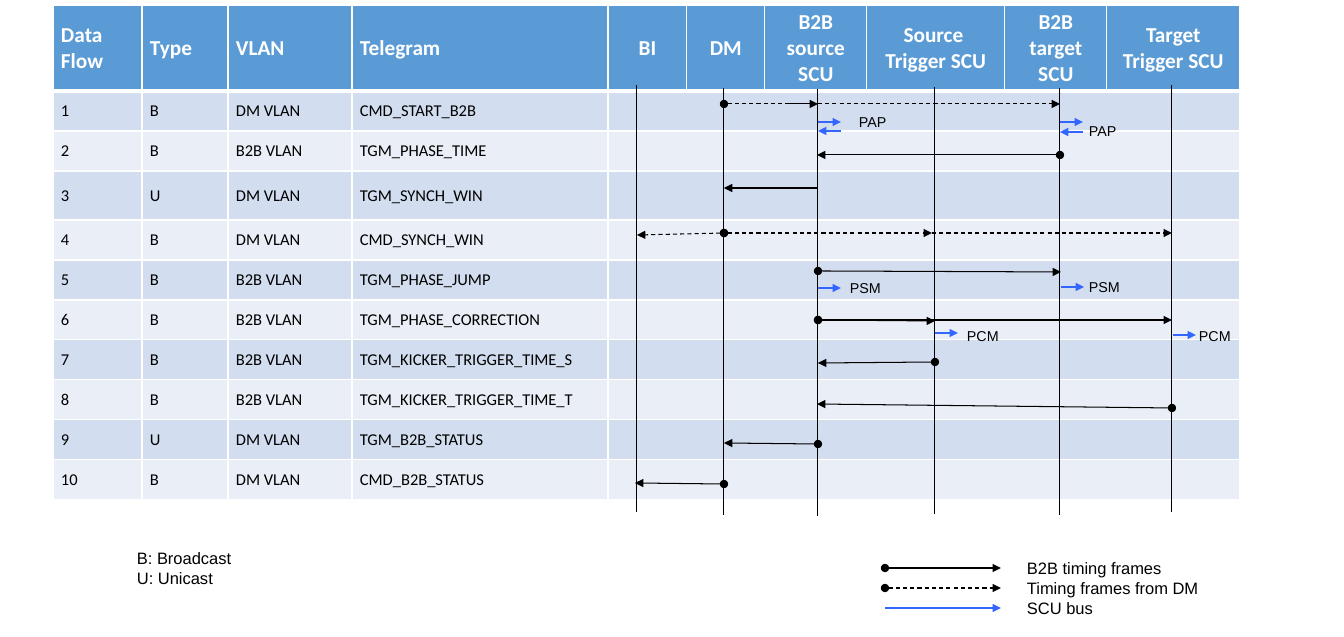
import dataclasses

import lxml.etree
import pptx
import pptx.dml.color
import pptx.enum.dml
import pptx.enum.shapes
import pptx.enum.text
import pptx.oxml
import pptx.oxml.ns
import pptx.util

EMU_PER_PX = 914400 / 100.8
BLACK, WHITE, BUS_BLUE = "000000", "FFFFFF", "3366FF"
HEADER_BLUE, BANDS = "5B9BD5", ("D2DEEF", "EAEFF7")
LEFT = pptx.enum.text.PP_ALIGN.LEFT
CENTER = pptx.enum.text.PP_ALIGN.CENTER

BI, DM, SOURCE, SOURCE_TRIGGER, TARGET, TARGET_TRIGGER = 637, 724, 818, 935, 1060, 1172
LIFELINE_TOPS = {BI: 85, DM: 88, SOURCE: 89, SOURCE_TRIGGER: 87, TARGET: 88, TARGET_TRIGGER: 85}
LIFELINE_LENGTH = 427
BUS_LENGTH = 23


@dataclasses.dataclass(frozen=True)
class Flow:
    kind: str
    vlan: str
    telegram: str
    height: int = 40


@dataclasses.dataclass(frozen=True)
class Arrow:
    x1: int
    y1: int
    x2: int
    y2: int
    dashed: bool = False
    dot: bool = True
    head: bool = True
    color: str = BLACK
    weight: float = 0.75


@dataclasses.dataclass(frozen=True)
class Label:
    text: str
    x: int
    y: int
    width: int = 52
    height: int = 26
    size: float = 10.2
    margins: tuple[int, int] = (8, 4)


HEADERS = ["Data\nFlow", "Type", "VLAN", "Telegram", "BI", "DM", "B2B source SCU",
           "Source \nTrigger SCU", "B2B target SCU", "Target Trigger SCU"]
COLUMN_WIDTHS = [89, 86, 124, 256, 79, 78, 102, 138, 102, 133]
HEADER_HEIGHT = 86
FIRST_LANE = 4

FLOWS = [
    Flow("B", "DM VLAN", "CMD_START_B2B"),
    Flow("B", "B2B VLAN", "TGM_PHASE_TIME"),
    Flow("U", "DM VLAN", "TGM_SYNCH_WIN", height=49),
    Flow("B", "DM VLAN", "CMD_SYNCH_WIN"),
    Flow("B", "B2B VLAN", "TGM_PHASE_JUMP"),
    Flow("B", "B2B VLAN", "TGM_PHASE_CORRECTION"),
    Flow("B", "B2B VLAN", "TGM_KICKER_TRIGGER_TIME_S"),
    Flow("B", "B2B VLAN", "TGM_KICKER_TRIGGER_TIME_T"),
    Flow("U", "DM VLAN", "TGM_B2B_STATUS"),
    Flow("B", "DM VLAN", "CMD_B2B_STATUS"),
]


def bus(x: int, y: int, length: int = BUS_LENGTH) -> Arrow:
    return Arrow(x, y, x + length, y, dot=False, color=BUS_BLUE, weight=1.75)


def bus_reply(x: int, y: int) -> Arrow:
    return bus(x + BUS_LENGTH, y, -BUS_LENGTH)


ARROWS = [
    Arrow(789, 104, TARGET, 104, dashed=True, dot=False),
    Arrow(DM, 104, SOURCE, 104, dashed=True),
    bus(SOURCE, 122), bus_reply(SOURCE, 131),
    bus(TARGET, 122), bus_reply(TARGET, 132),
    Arrow(TARGET, 155, SOURCE - 1, 155),
    Arrow(SOURCE, 188, DM, 188, dot=False),
    Arrow(DM, 233, 932, 233, dashed=True),
    Arrow(932, 233, TARGET_TRIGGER, 233, dashed=True, dot=False),
    Arrow(DM, 233, BI, 235, dashed=True),
    Arrow(SOURCE, 271, TARGET + 1, 272),
    bus(SOURCE, 288), bus(TARGET + 1, 287),
    Arrow(SOURCE, 320, SOURCE_TRIGGER, 321),
    Arrow(SOURCE, 320, TARGET_TRIGGER, 320),
    bus(SOURCE_TRIGGER, 333), bus(TARGET_TRIGGER + 1, 335),
    Arrow(SOURCE_TRIGGER, 362, SOURCE, 363),
    Arrow(TARGET_TRIGGER, 408, SOURCE - 1, 404),
    Arrow(SOURCE, 444, DM, 443),
    Arrow(DM, 484, BI - 2, 483),
    Arrow(885, 568, 1001, 568),
    Arrow(885, 588, 1001, 588, dashed=True),
    bus(885, 608, 116),
]

LABELS = [
    Label("PAP", 851, 109), Label("PAP", 1081, 118),
    Label("PSM", 842, 275), Label("PSM", 1081, 274),
    Label("PCM", 959, 323), Label("PCM", 1191, 323),
    Label("B2B timing frames\nTiming frames from DM\nSCU bus", 1017, 553, 267, 70, 11.8, (10, 5)),
    Label("B: Broadcast\nU: Unicast", 127, 543, 267, 50, 11.8, (10, 5)),
]


def px(length: int) -> int:
    return pptx.util.Emu(round(length * EMU_PER_PX))


def rgb(color: str) -> pptx.dml.color.RGBColor:
    return pptx.dml.color.RGBColor.from_string(color)


def write(frame, text: str, *, size: float, font: str = "Arial", color: str = BLACK,
          bold: bool = False, align=LEFT) -> None:
    frame.text = text
    for paragraph in frame.paragraphs:
        paragraph.alignment = align
        for run in paragraph.runs:
            run.font.name = font
            run.font.size = pptx.util.Pt(size)
            run.font.bold = bold
            run.font.color.rgb = rgb(color)


def format_cell(cell, fill: str, bottom: float) -> None:
    cell.margin_left = cell.margin_right = px(8)
    cell.margin_top = cell.margin_bottom = px(4)
    cell.vertical_anchor = pptx.enum.text.MSO_ANCHOR.MIDDLE
    cell.fill.solid()
    cell.fill.fore_color.rgb = rgb(fill)
    properties = cell._tc.get_or_add_tcPr()
    weights = {"L": 1, "R": 1, "T": 1, "B": bottom}
    for position, (side, weight) in enumerate(weights.items()):
        border = pptx.oxml.parse_xml(
            f'<a:ln{side} {pptx.oxml.ns.nsdecls("a")} w="{pptx.util.Pt(weight)}">'
            f'<a:solidFill><a:srgbClr val="{WHITE}"/></a:solidFill></a:ln{side}>')
        properties.insert(position, border)


def draw_flow_table(shapes) -> None:
    heights = [HEADER_HEIGHT] + [flow.height for flow in FLOWS]
    table = shapes.add_table(len(heights), len(COLUMN_WIDTHS), px(53), px(5),
                             px(sum(COLUMN_WIDTHS)), px(sum(heights))).table
    for column, width in zip(table.columns, COLUMN_WIDTHS):
        column.width = px(width)
    for row, height in zip(table.rows, heights):
        row.height = px(height)
    for index, header in enumerate(HEADERS):
        cell = table.cell(0, index)
        format_cell(cell, HEADER_BLUE, bottom=3)
        write(cell.text_frame, header, size=15.2, font="Calibri", color=WHITE, bold=True,
              align=CENTER if index >= FIRST_LANE else LEFT)
    for number, flow in enumerate(FLOWS, start=1):
        for cell in table.rows[number].cells:
            format_cell(cell, BANDS[(number - 1) % 2], bottom=1)
        for index, text in enumerate([str(number), flow.kind, flow.vlan, flow.telegram]):
            write(table.cell(number, index).text_frame, text, size=11.8, font="Calibri")
        table.cell(number, FIRST_LANE).merge(table.cell(number, len(HEADERS) - 1))


def draw_arrow(shapes, arrow: Arrow) -> None:
    connector = shapes.add_connector(pptx.enum.shapes.MSO_CONNECTOR.STRAIGHT,
                                     px(arrow.x1), px(arrow.y1), px(arrow.x2), px(arrow.y2))
    connector.line.color.rgb = rgb(arrow.color)
    connector.line.width = pptx.util.Pt(arrow.weight)
    if arrow.dashed:
        connector.line.dash_style = pptx.enum.dml.MSO_LINE.DASH
    outline = connector.line._get_or_add_ln()
    if arrow.dot:
        lxml.etree.SubElement(outline, pptx.oxml.ns.qn("a:headEnd"), type="oval")
    if arrow.head:
        lxml.etree.SubElement(outline, pptx.oxml.ns.qn("a:tailEnd"), type="triangle")
    lxml.etree.SubElement(connector._element.spPr, pptx.oxml.ns.qn("a:effectLst"))


def draw_label(shapes, label: Label) -> None:
    frame = shapes.add_textbox(px(label.x), px(label.y), px(label.width), px(label.height)).text_frame
    frame.word_wrap = True
    frame.auto_size = pptx.enum.text.MSO_AUTO_SIZE.SHAPE_TO_FIT_TEXT
    frame.margin_left = frame.margin_right = px(label.margins[0])
    frame.margin_top = frame.margin_bottom = px(label.margins[1])
    write(frame, label.text, size=label.size)


def main() -> None:
    presentation = pptx.Presentation()
    presentation.slide_width, presentation.slide_height = px(1344), px(637)
    shapes = presentation.slides.add_slide(presentation.slide_layouts[6]).shapes
    draw_flow_table(shapes)
    for x, top in LIFELINE_TOPS.items():
        draw_arrow(shapes, Arrow(x, top, x, top + LIFELINE_LENGTH, dot=False, head=False))
    for arrow in ARROWS:
        draw_arrow(shapes, arrow)
    for label in LABELS:
        draw_label(shapes, label)
    presentation.save("out.pptx")


if __name__ == "__main__":
    main()
